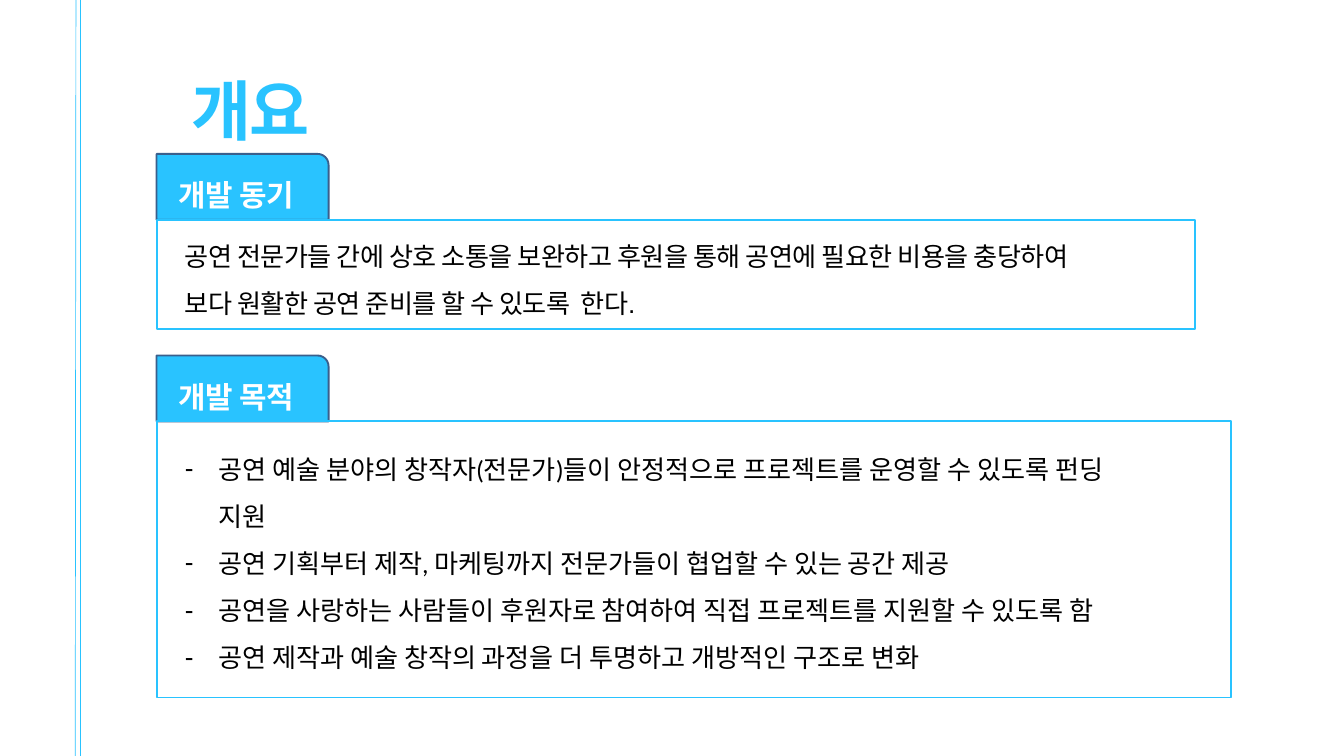
from dataclasses import dataclass

from lxml.etree import SubElement
from pptx import Presentation
from pptx.dml.color import RGBColor
from pptx.enum.shapes import MSO_CONNECTOR, MSO_SHAPE
from pptx.enum.text import MSO_ANCHOR, MSO_AUTO_SIZE, PP_ALIGN
from pptx.oxml.ns import qn
from pptx.util import Inches, Pt


@dataclass(frozen=True)
class Theme:
    """Colours, fonts and sizes shared by the slide."""
    accent: RGBColor = RGBColor(0x29, 0xC3, 0xFF)
    tab_edge: RGBColor = RGBColor(0x3A, 0x5F, 0x8C)
    ink: RGBColor = RGBColor(0, 0, 0)
    paper: RGBColor = RGBColor(0xFF, 0xFF, 0xFF)
    korean_font: str = "Noto Sans CJK KR"
    title_size: int = 70
    label_size: int = 32
    body_size: int = 28
    rule_width: float = 0.75
    frame_width: float = 2


THEME = Theme()
LEFT = 2.33
TAB_WIDTH, TAB_HEIGHT = 2.56, 0.98
PURPOSES = [
    "공연 예술 분야의 창작자(전문가)들이 안정적으로 프로젝트를 운영할 수 있도록 펀딩\n지원",
    "공연 기획부터 제작, 마케팅까지 전문가들이 협업할 수 있는 공간 제공",
    "공연을 사랑하는 사람들이 후원자로 참여하여 직접 프로젝트를 지원할 수 있도록 함",
    "공연 제작과 예술 창작의 과정을 더 투명하고 개방적인 구조로 변화",
]
MOTIVES = [
    "공연 전문가들 간에 상호 소통을 보완하고 후원을 통해 공연에 필요한 비용을 충당하여",
    "보다 원활한 공연 준비를 할 수 있도록  한다.",
]


def place(box, left, top, width, height):
    """Move and size a box, in inches."""
    box.left, box.top = Inches(left), Inches(top)
    box.width, box.height = Inches(width), Inches(height)


def set_bullet(para, mark, indent):
    """Give a paragraph a hanging bullet."""
    properties = para._p.get_or_add_pPr()
    properties.set("marL", str(Inches(indent)))
    properties.set("indent", str(-Inches(indent)))
    SubElement(properties, qn("a:buFont"), typeface="Arial")
    SubElement(properties, qn("a:buChar"), char=mark)


def add_span(para, text, *, size, font, color, bold, tracking):
    """Add one formatted run to a paragraph."""
    span = para.add_run()
    span.text = text
    span.font.size, span.font.name, span.font.bold = Pt(size), font, bold
    span.font.color.rgb = color
    properties = span._r.get_or_add_rPr()
    properties.set("spc", str(round(tracking * 100)))
    SubElement(properties, qn("a:ea"), typeface=THEME.korean_font)


def write_text(box, lines, *, size, font, color=THEME.ink, bold=False,
               tracking=0, spacing=1.5, bullet=None, padded=True):
    """Fill a box with paragraphs in one format."""
    frame = box.text_frame
    frame.word_wrap = True
    frame.auto_size = MSO_AUTO_SIZE.NONE
    frame.vertical_anchor = MSO_ANCHOR.TOP
    if not padded:
        frame.margin_left = frame.margin_right = 0
        frame.margin_top = frame.margin_bottom = 0
    for index, line in enumerate(lines):
        para = frame.add_paragraph() if index else frame.paragraphs[0]
        para.alignment = PP_ALIGN.LEFT
        para.line_spacing = spacing
        para.space_before = Pt(0)
        if bullet:
            set_bullet(para, bullet, 0.5)
        for part_index, part in enumerate(line.split("\n")):
            if part_index:
                para.add_line_break()
            add_span(para, part, size=size, font=font, color=color,
                     bold=bold, tracking=tracking)


def add_text(page, bounds, lines, **style):
    """Add a text box with formatted paragraphs."""
    box = page.shapes.add_textbox(*map(Inches, bounds))
    write_text(box, lines, **style)


def add_frame(page, kind, bounds, *, edge, fill=None):
    """Add an outlined shape, optionally filled."""
    frame = page.shapes.add_shape(kind, *map(Inches, bounds))
    frame.shadow.inherit = False
    frame.line.color.rgb = edge
    frame.line.width = Pt(THEME.frame_width)
    if fill is None:
        frame.fill.background()
    else:
        frame.fill.solid()
        frame.fill.fore_color.rgb = fill


def add_rule(page, bottom_x, top_x):
    """Add a thin line over the full slide height."""
    rule = page.shapes.add_connector(
        MSO_CONNECTOR.STRAIGHT, Inches(bottom_x), Inches(11.25), Inches(top_x), 0)
    rule.line.color.rgb = THEME.accent
    rule.line.width = Pt(THEME.rule_width)
    SubElement(rule._element.spPr, qn("a:effectLst"))


def add_section(page, label, top, width, height):
    """Add a labelled tab with an outlined panel below it."""
    add_frame(page, MSO_SHAPE.ROUND_1_RECTANGLE, (LEFT, top, TAB_WIDTH, TAB_HEIGHT),
              edge=THEME.tab_edge, fill=THEME.accent)
    add_text(page, (LEFT + 0.33, top + 0.22, 1.9, 0.61), [label],
             size=THEME.label_size, font="Cabin", color=THEME.paper, bold=True,
             tracking=-0.5, spacing=Pt(46.9), padded=False)
    add_frame(page, MSO_SHAPE.RECTANGLE, (LEFT, top + TAB_HEIGHT, width, height),
              edge=THEME.accent)


def main():
    """Build the overview slide."""
    deck = Presentation()
    deck.slide_width, deck.slide_height = Inches(20), Inches(11.25)
    page = deck.slides.add_slide(deck.slide_layouts[1])

    add_rule(page, 1.12, 1.13)
    add_rule(page, 1.19, 1.19)

    title, purpose_list = page.shapes.title, page.placeholders[1]
    place(title, 2.85, 0.46, 12.77, 1.75)
    write_text(title, ["개요"], size=THEME.title_size, font=THEME.korean_font,
               color=THEME.accent, bold=True, tracking=-2.2, spacing=Pt(126),
               padded=False)

    add_section(page, "개발 동기", 2.29, 15.45, 1.63)
    add_text(page, (2.65, 3.29, 15.23, 1.82), MOTIVES,
             size=THEME.body_size, font="Arial", tracking=-0.5)

    add_section(page, "개발 목적", 5.29, 15.99, 4.11)
    place(purpose_list, 2.65, 6.46, 15.1, 4.11)
    write_text(purpose_list, PURPOSES, size=THEME.body_size, font="Calibri", bullet="-")

    deck.save("out.pptx")


if __name__ == "__main__":
    main()
